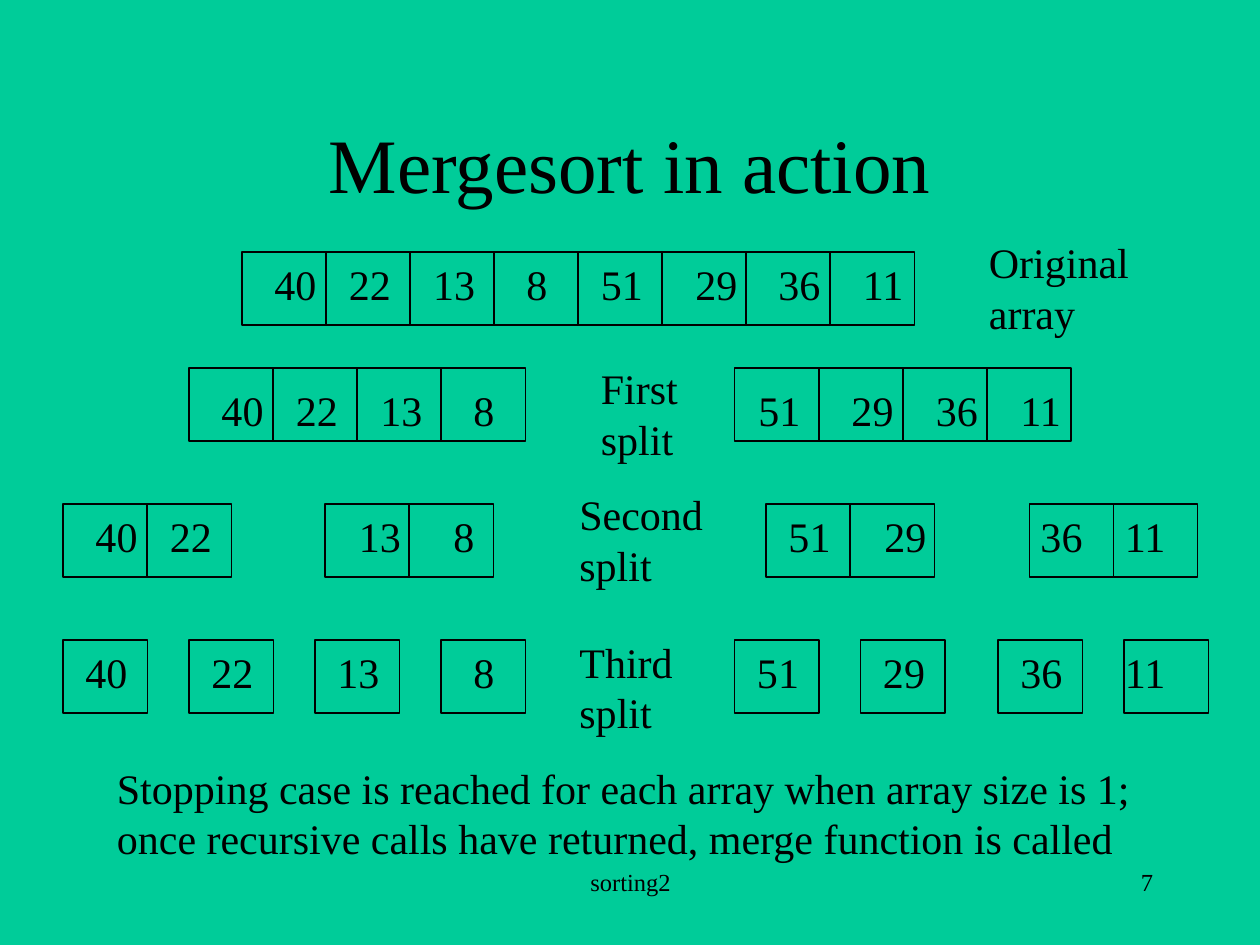
from lxml import etree
from pptx import Presentation
from pptx.dml.color import RGBColor
from pptx.enum.shapes import MSO_SHAPE
from pptx.enum.text import MSO_ANCHOR, PP_ALIGN
from pptx.oxml.ns import qn
from pptx.util import Inches, Pt

GREEN = RGBColor(0x00, 0xCC, 0x99)
BLACK = RGBColor(0x00, 0x00, 0x00)
FONT = "Times New Roman"
RECTANGLE = MSO_SHAPE.RECTANGLE
LEFT, CENTER, RIGHT = PP_ALIGN.LEFT, PP_ALIGN.CENTER, PP_ALIGN.RIGHT
MIDDLE = MSO_ANCHOR.MIDDLE

CELL_W, CELL_H = 0.67, 0.58
PITCH = 2 / 3
INSET = 0.1
VALUES = [40, 22, 13, 8, 51, 29, 36, 11]

prs = Presentation()
prs.slide_width, prs.slide_height = Inches(10), Inches(7.5)
TITLE_ONLY = prs.slide_layouts[5]
slide = prs.slides.add_slide(TITLE_ONLY)
slide.background.fill.solid()
slide.background.fill.fore_color.rgb = GREEN


def style(paragraph, size, align=LEFT):
    paragraph.alignment = align
    paragraph.font.name = FONT
    paragraph.font.size = Pt(size)
    paragraph.font.color.rgb = BLACK


def add_text(text, left, top, width, height, size=24, align=LEFT, tabs=()):
    """Add a text box; tabs are slide positions of left tab stops, in inches."""
    box = slide.shapes.add_textbox(
        Inches(left), Inches(top), Inches(width), Inches(height))
    box.text_frame.word_wrap = True
    box.text_frame.text = text
    for paragraph in box.text_frame.paragraphs:
        if tabs:
            stops = etree.SubElement(paragraph._p.get_or_add_pPr(), qn("a:tabLst"))
            for tab in tabs:
                position = Inches(tab - left - INSET)
                etree.SubElement(stops, qn("a:tab"), pos=str(position), algn="l")
        style(paragraph, size, align)


title = slide.shapes.title
title.left, title.top = Inches(0.75), Inches(0.67)
title.width, title.height = Inches(8.5), Inches(1.25)
title.text_frame.text = "Mergesort in action"
title.text_frame.vertical_anchor = MIDDLE
style(title.text_frame.paragraphs[0], 44, CENTER)

# Per level: cell top, left edges of the subarrays, text box, number positions
levels = [
    (2, [1.92], (1.92, 2, 5.7),
     [2.18, 2.77, 3.44, 4.18, 4.77, 5.52, 6.18, 6.85]),
    (2.92, [1.5, 5.83], (1.5, 3, 7.36),
     [1.76, 2.35, 3.02, 3.76, 6.02, 6.76, 7.43, 8.1]),
    (4, [0.5, 2.58, 6.08, 8.17], (0.5, 4, 9.2),
     [0.76, 1.35, 2.85, 3.6, 6.26, 7.02, 8.26, 8.93]),
    (5.08, [0.5, 1.5, 2.5, 3.5, 5.83, 6.83, 7.92, 8.92], (0.5, 5.08, 8.87),
     [0.68, 1.68, 2.68, 3.76, 6.01, 7.01, 8.1, 8.93]),
]
for cell_top, array_lefts, (left, top, width), number_lefts in levels:
    for array_left in array_lefts:
        for i in range(len(VALUES) // len(array_lefts)):
            cell = slide.shapes.add_shape(
                RECTANGLE, Inches(array_left + i * PITCH), Inches(cell_top),
                Inches(CELL_W), Inches(CELL_H))
            cell.shadow.inherit = False
            cell.fill.background()
            cell.line.color.rgb = BLACK
            cell.line.width = Pt(0.75)
    numbers = "".join(f"\t{value}" for value in VALUES)
    add_text(numbers, left, top, width, 0.5, tabs=number_lefts)

add_text("Original\narray", 7.75, 1.83, 1.31, 0.9)
add_text("First\nsplit", 4.67, 2.83, 0.85, 0.9)
add_text("Second\nsplit", 4.5, 3.83, 1.2, 0.9)
add_text("Third\nsplit", 4.5, 5, 0.95, 0.9)
add_text("Stopping case is reached for each array when array size is 1;\n"
         "once recursive calls have returned, merge function is called",
         0.83, 6, 8.4, 0.9)
add_text("sorting2", 3.42, 6.83, 3.17, 0.5, size=14, align=CENTER)
add_text("7", 7.17, 6.83, 2.08, 0.5, size=14, align=RIGHT)

prs.save("out.pptx")
